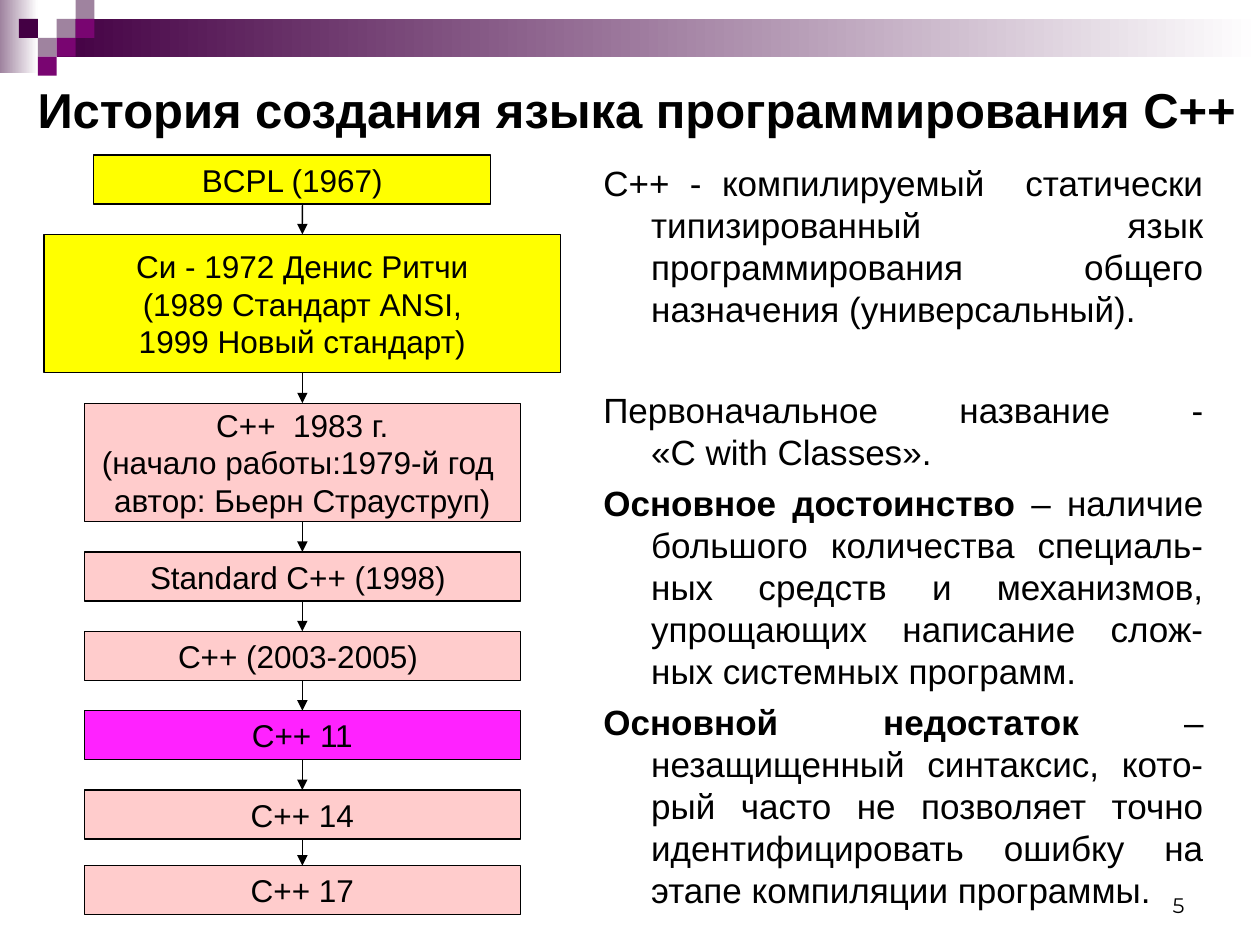
from collections import namedtuple

from pptx import Presentation, util as u
from pptx.dml import color
from pptx.enum import shapes, text
from pptx.oxml import ns, xmlchemy

WIDTH, HEIGHT = 10, 7.5
CELL = 0.15
YELLOW, PINK, MAGENTA = "FFFF00", "FFCCCC", "FF22FF"
PLUM, VIOLET, MAUVE = "440044", "790571", "9F839F"

Box = namedtuple("Box", "left top width height")
Stage = namedtuple("Stage", "lines fill width height gap shift", defaults=(3.46, 0.39, 0.24, 0))

MOSAIC = [(3, 1, MAUVE), (4, 0, MAUVE), (4, 1, VIOLET), (2, 2, MAUVE),
          (1, 1, PLUM), (3, 2, VIOLET), (2, 3, VIOLET)]
STAGES = [
    Stage("BCPL (1967)", YELLOW, 3.15, shift=-0.08),
    Stage("Си - 1972 Денис Ритчи\n(1989 Стандарт ANSI,\n1999 Новый стандарт)", YELLOW, 4.1, 1.1),
    Stage("С++  1983 г.\n(начало работы:1979-й год \nавтор: Бьерн Страуструп)", PINK, height=0.94),
    Stage("Standard С++ (1998) ", PINK),
    Stage("С++ (2003-2005) ", PINK),
    Stage("С++ 11", MAGENTA),
    Stage("C++ 14", PINK),
    Stage("C++ 17", PINK, gap=0.21),
]
NOTES = [
    (5, "", "С++ - компилируемый  статически типизированный язык "
            "программирования общего назначения (универсальный)."),
    (34, "", "Первоначальное название -\v«С with Classes»."),
    (5, "Основное достоинство", " – наличие большого количества специаль-ных средств "
                                "и механизмов, упрощающих написание слож-ных системных программ."),
    (5, "Основной недостаток", " – незащищенный синтаксис, кото-рый часто не позволяет точно "
                               "идентифицировать ошибку на этапе компиляции программы. "),
]


def rgb(value):
    """Turn a hex string into a colour."""
    return color.RGBColor.from_string(value)


def inches(box):
    """Convert a box to slide lengths."""
    return [u.Inches(length) for length in box]


def style(paragraph, size, align=text.PP_ALIGN.LEFT, name="Arial", bold=None):
    """Set the font and alignment of a paragraph."""
    paragraph.alignment = align
    font = paragraph.font
    font.name, font.size, font.bold = name, u.Pt(size), bold
    font.color.rgb = rgb("000000")


def add_rectangle(slide, box, fill, fade=False):
    """Add a rectangle, plain or fading to white at the right."""
    shape = slide.shapes.add_shape(shapes.MSO_SHAPE.RECTANGLE, *inches(box))
    shape.shadow.inherit = False
    shape.line.fill.background()
    if fade:
        shape.fill.gradient()
        shape.fill.gradient_angle = 0
        for stop, value, position in zip(shape.fill.gradient_stops, (fill, "FFFFFF"), (0, 1)):
            stop.color.rgb = rgb(value)
            stop.position = position
    else:
        shape.fill.solid()
        shape.fill.fore_color.rgb = rgb(fill)
    return shape


def add_text_frame(slide, box, anchor):
    """Add a wrapping text box and return its frame."""
    frame = slide.shapes.add_textbox(*inches(box)).text_frame
    frame.word_wrap = True
    frame.vertical_anchor = anchor
    return frame


def add_line(slide, box, content, size, anchor, **options):
    """Add a text box holding one paragraph."""
    paragraph = add_text_frame(slide, box, anchor).paragraphs[0]
    paragraph.text = content
    style(paragraph, size, **options)


def add_banner(slide, box):
    """Draw the fading bands and the mosaic of squares."""
    add_rectangle(slide, Box(box.left, box.top, 2 * CELL, box.height), MAUVE, fade=True)
    band_left = box.left + 3 * CELL
    add_rectangle(slide, Box(band_left, box.top + CELL, box.width - 3 * CELL, 2 * CELL), PLUM, fade=True)
    for column, row, fill in MOSAIC:
        add_rectangle(slide, Box(box.left + column * CELL, box.top + row * CELL, CELL, CELL), fill)


def add_stage(slide, box, stage):
    """Draw one outlined stage of the history."""
    shape = add_rectangle(slide, box, stage.fill)
    shape.line.color.rgb = rgb("000000")
    shape.line.width = u.Pt(0.75)
    frame = shape.text_frame
    frame.word_wrap = False
    frame.vertical_anchor = text.MSO_ANCHOR.MIDDLE
    frame.text = stage.lines
    for paragraph in frame.paragraphs:
        style(paragraph, 18, text.PP_ALIGN.CENTER)
    return shape


def add_arrow(slide, center, start, end):
    """Draw a vertical arrow and return its connector."""
    arrow = slide.shapes.add_connector(
        shapes.MSO_CONNECTOR.STRAIGHT, *inches((center, start, center, end)))
    arrow.line.color.rgb = rgb("000000")
    arrow.line.width = u.Pt(0.75)
    tail = xmlchemy.OxmlElement("a:tailEnd")
    tail.set("type", "triangle")
    arrow.line._get_or_add_ln().append(tail)
    arrow._element.find(ns.qn("p:spPr")).append(xmlchemy.OxmlElement("a:effectLst"))
    return arrow


def add_history(slide, box):
    """Stack the stages down the box and link them with arrows."""
    center = box.left + box.width / 2
    bottom, previous = box.top, None
    for index, stage in enumerate(STAGES):
        top = bottom + (stage.gap if index else 0)
        left = center + stage.shift - stage.width / 2
        shape = add_stage(slide, Box(left, top, stage.width, stage.height), stage)
        if index:
            arrow = add_arrow(slide, center, bottom, top)
            if not STAGES[index - 1].shift:
                arrow.begin_connect(previous, 2)
            arrow.end_connect(shape, 0)
        bottom, previous = top + stage.height, shape


def add_notes(slide, box):
    """Write the justified notes with hanging indents."""
    frame = add_text_frame(slide, box, text.MSO_ANCHOR.TOP)
    for index, (space, lead, body) in enumerate(NOTES):
        paragraph = frame.add_paragraph() if index else frame.paragraphs[0]
        if lead:
            run = paragraph.add_run()
            run.text = lead
            run.font.bold = True
            paragraph.add_run().text = body
        else:
            paragraph.text = body
        style(paragraph, 20, text.PP_ALIGN.JUSTIFY)
        paragraph.space_before = u.Pt(space)
        properties = paragraph._p.get_or_add_pPr()
        properties.set("marL", str(u.Inches(0.38)))
        properties.set("indent", str(-u.Inches(0.38)))


def main():
    """Build and save the presentation."""
    presentation = Presentation()
    presentation.slide_width, presentation.slide_height = inches((WIDTH, HEIGHT))
    slide = presentation.slides.add_slide(presentation.slide_layouts[6])
    add_banner(slide, Box(0, 0, WIDTH, 0.58))
    add_line(slide, Box(7.17, 6.83, 2.33, 0.5), "5", 12, text.MSO_ANCHOR.BOTTOM,
             align=text.PP_ALIGN.RIGHT, name="Montserrat")
    add_line(slide, Box(0.2, 0.5, 9.8, 0.73), "История создания языка программирования С++",
             28, text.MSO_ANCHOR.MIDDLE, bold=True)
    add_notes(slide, Box(4.69, 1.23, 4.96, 5.9))
    add_history(slide, Box(0.35, 1.23, 4.1, 6.03))
    presentation.save("out.pptx")


if __name__ == "__main__":
    main()
